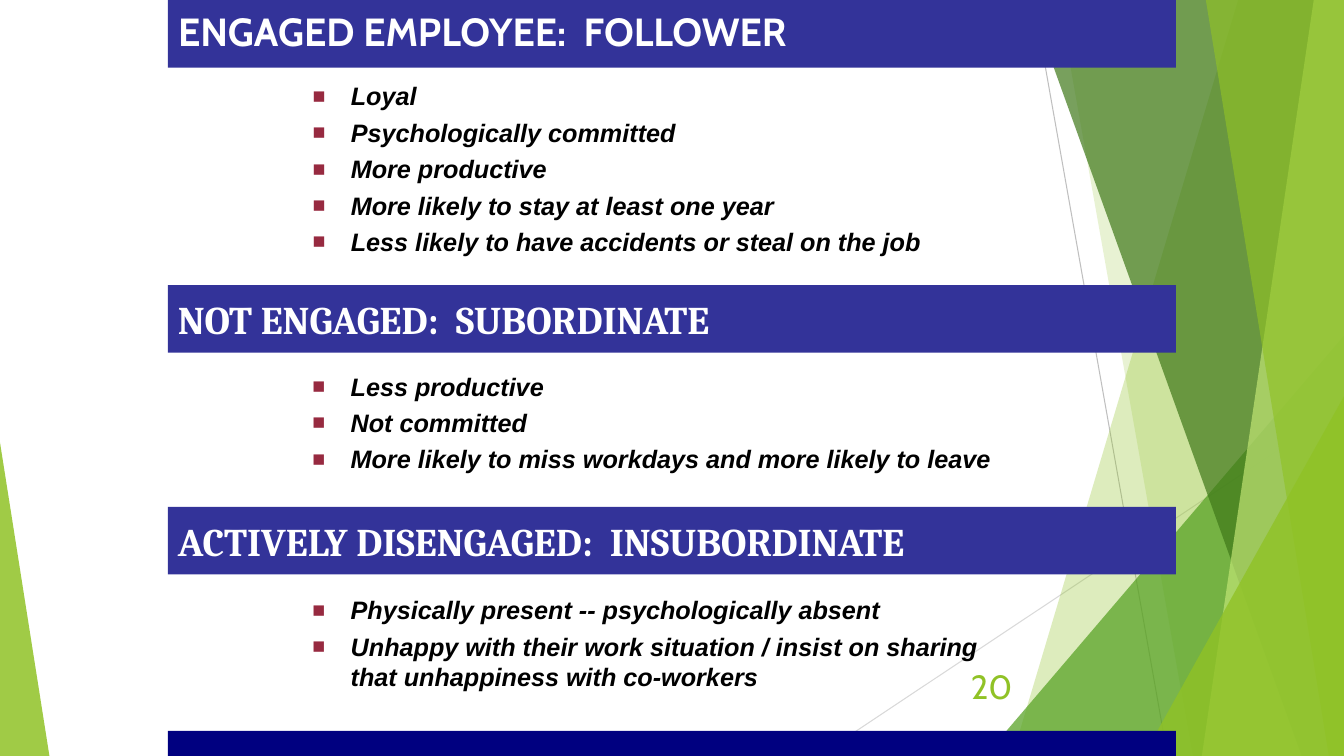
from lxml.etree import SubElement
from pptx import Presentation
from pptx.dml.color import RGBColor
from pptx.enum.shapes import MSO_CONNECTOR, MSO_SHAPE
from pptx.enum.text import MSO_ANCHOR, MSO_AUTO_SIZE, PP_ALIGN
from pptx.oxml.ns import qn
from pptx.util import Inches, Pt

# Content
TITLE = "ENGAGED EMPLOYEE:  FOLLOWER"
ENGAGED = ["Loyal", "Psychologically committed", "More productive",
           "More likely to stay at least one year",
           "Less likely to have accidents or steal on the job"]
# heading, heading top, list top, list width, list height, items
SECTIONS = [
    ("NOT ENGAGED:  SUBORDINATE", 2.83, 3.63, 7, 1.12,
     ["Less productive", "Not committed",
      "More likely to miss workdays and more likely to leave"]),
    ("ACTIVELY DISENGAGED:  INSUBORDINATE", 5.03, 5.85, 7.25, 1.06,
     ["Physically present -- psychologically absent",
      "Unhappy with their work situation / insist on sharing "
      "that unhappiness with co-workers"]),
]
PAGE = "20"

# Look
W, H = 13.33, 7.5
BAR_X, BAR_W, BAR_H = W / 8, W * 0.75, 0.67
LIST_X, INDENT = 3, 0.38
COLORS = {"bar": "333399", "foot": "000080", "white": "FFFFFF",
          "black": "000000", "bullet": "972A40", "lime": "90C226",
          "green": "54A021", "dark": "3F7819", "pale": "C0E474",
          "rule": "BFBFBF", "faint": "D9D9D9"}
RULES = [(10.25, 0, 11.58, H, "rule"), (W, 4.03, 8.12, H, "faint")]
# Bands reach the right edge: top-left x, bottom-left x, colour, opacity
# Triangles: left, top, width, apex share, colour, opacity
FACETS = [
    ("band", (12.28, 10.04), "lime", 30),
    ("band", (10.5, 11.83), "lime", 20),
    ("triangle", (9.77, 3.33, 3.56, 1), "green", 72),
    ("band", (10.21, 12.91), "dark", 70),
    ("band", (13.03, 11.92), "pale", 70),
    ("band", (11.96, 13.18), "lime", 65),
    ("triangle", (11.34, 3.93, 1.99, 1), "lime", 80),
    ("triangle", (0, 4.39, 0.49, 0), "lime", 85),
]


def rgb(name):
    return RGBColor.from_string(COLORS[name])


def place(sp, x, y, w, h):
    sp.left, sp.top, sp.width, sp.height = map(Inches, (x, y, w, h))


def paint(sp, color, opacity=100):
    sp.shadow.inherit = False
    sp.fill.solid()
    sp.fill.fore_color.rgb = rgb(color)
    sp.line.fill.background()
    if opacity < 100:
        clr = sp.fill._xPr.find(qn("a:solidFill"))[0]
        SubElement(clr, qn("a:alpha")).set("val", str(opacity * 1000))


def set_text(sp, lines, font, size, color, bold=False, italic=False,
             anchor=MSO_ANCHOR.MIDDLE, align=PP_ALIGN.LEFT):
    tf = sp.text_frame
    tf.text = "\n".join(lines)
    tf.word_wrap = True
    tf.auto_size = MSO_AUTO_SIZE.NONE
    tf.vertical_anchor = anchor
    for p in tf.paragraphs:
        p.alignment = align
        f = p.runs[0].font
        f.name, f.size, f.bold, f.italic = font, Pt(size), bold, italic
        f.color.rgb = rgb(color)
    return tf


def heading(sp, text, font):
    sp.fill.solid()
    sp.fill.fore_color.rgb = rgb("bar")
    return set_text(sp, [text], font, 28, "white", bold=True)


def bullet_list(sp, items):
    tf = set_text(sp, items, "Arial", 18, "black", True, True, MSO_ANCHOR.TOP)
    for p in tf.paragraphs:
        p.space_before = Pt(4.4)
        pPr = p._p.get_or_add_pPr()
        pPr.set("marL", str(Inches(INDENT)))
        pPr.set("indent", str(-Inches(INDENT)))
        clr = SubElement(pPr, qn("a:buClr"))
        SubElement(clr, qn("a:srgbClr")).set("val", COLORS["bullet"])
        SubElement(pPr, qn("a:buSzPct")).set("val", "85000")
        SubElement(pPr, qn("a:buFont")).set("typeface", "Arial")
        SubElement(pPr, qn("a:buChar")).set("char", "■")


def add_bar(shapes, y, h, color):
    sp = shapes.add_shape(MSO_SHAPE.RECTANGLE, *map(Inches, (BAR_X, y, BAR_W, h)))
    paint(sp, color)
    return sp


def add_facet(shapes, kind, geometry, color, opacity):
    if kind == "band":
        top, bottom = geometry
        fb = shapes.build_freeform(Inches(top), 0)
        fb.add_line_segments([(Inches(x), Inches(y)) for x, y in
                              ((W, 0), (W, H), (bottom, H))])
        sp = fb.convert_to_shape()
    else:
        x, y, w, apex = geometry
        sp = shapes.add_shape(MSO_SHAPE.ISOSCELES_TRIANGLE,
                              *map(Inches, (x, y, w, H - y)))
        sp.adjustments[0] = apex
    paint(sp, color, opacity)


def main():
    prs = Presentation()
    prs.slide_width, prs.slide_height = Inches(W), Inches(H)
    s = prs.slides.add_slide(prs.slide_layouts[1])
    shapes = s.shapes
    title, body = shapes.title, s.placeholders[1]

    # Background rules and facets
    for x1, y1, x2, y2, color in RULES:
        ln = shapes.add_connector(MSO_CONNECTOR.STRAIGHT,
                                  *map(Inches, (x1, y1, x2, y2)))
        ln.line.color.rgb = rgb(color)
        ln.line.width = Pt(0.75)
        SubElement(ln._element.spPr, qn("a:effectLst"))
    for facet in FACETS:
        add_facet(shapes, *facet)

    # Title and first list, brought in front of the background
    for ph in (title, body):
        shapes._spTree.append(ph._element)
    place(title, BAR_X, 0, BAR_W, BAR_H)
    heading(title, TITLE, "Cabin").paragraphs[0].line_spacing = 0.9
    place(body, LIST_X, 0.75, 6.5, 1.85)
    bullet_list(body, ENGAGED)

    # Other sections
    for text, bar_y, list_y, w, h, items in SECTIONS:
        heading(add_bar(shapes, bar_y, BAR_H, "bar"), text, "Cambria")
        box = shapes.add_textbox(*map(Inches, (LIST_X, list_y, w, h)))
        bullet_list(box, items)

    # Footer bar and page number
    add_bar(shapes, H - 0.25, 0.25, "foot")
    num = shapes.add_textbox(*map(Inches, (9.39, 6.61, 0.75, 0.4)))
    set_text(num, [PAGE], "Cabin", 24, "lime", align=PP_ALIGN.RIGHT)

    prs.save("out.pptx")


if __name__ == "__main__":
    main()
